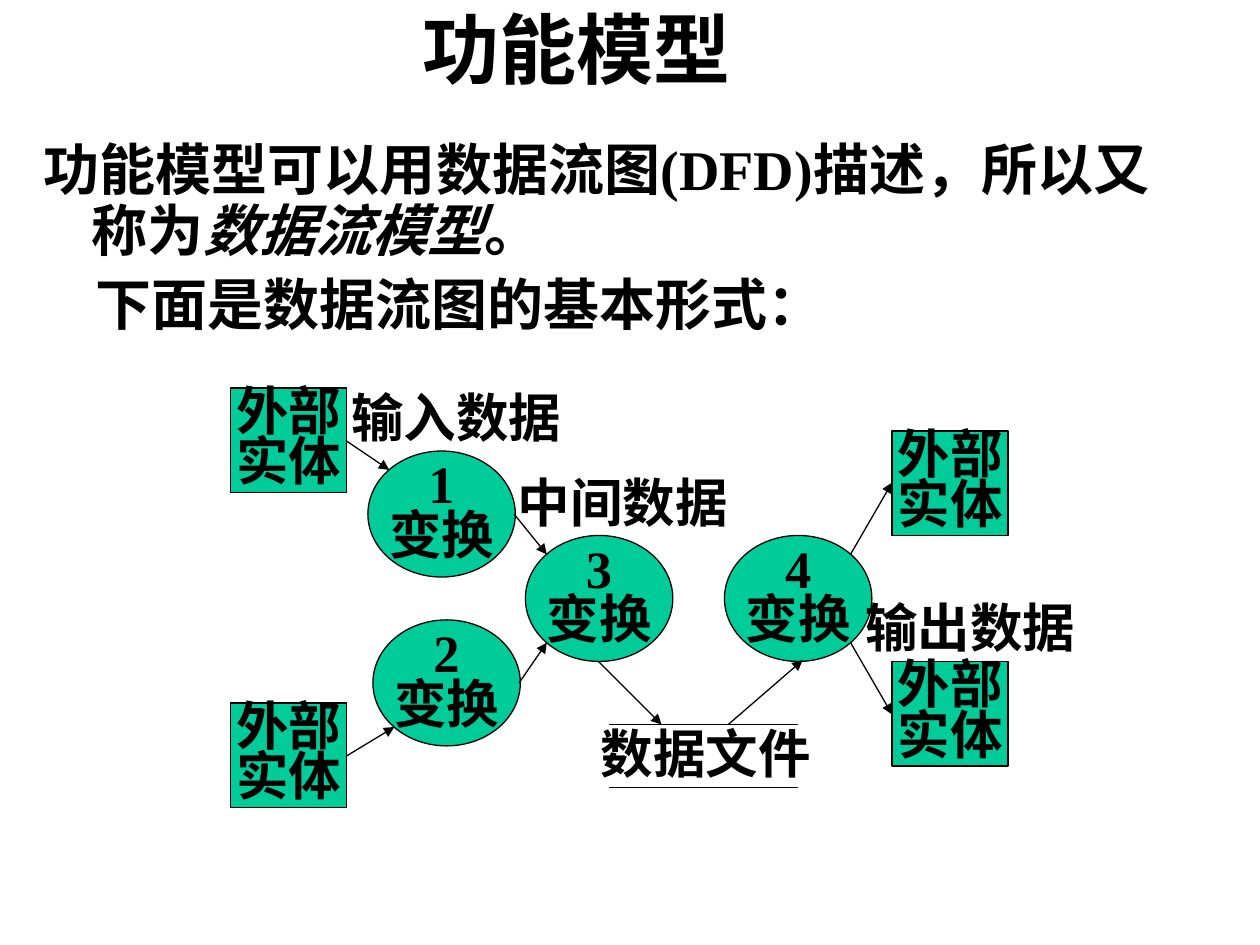
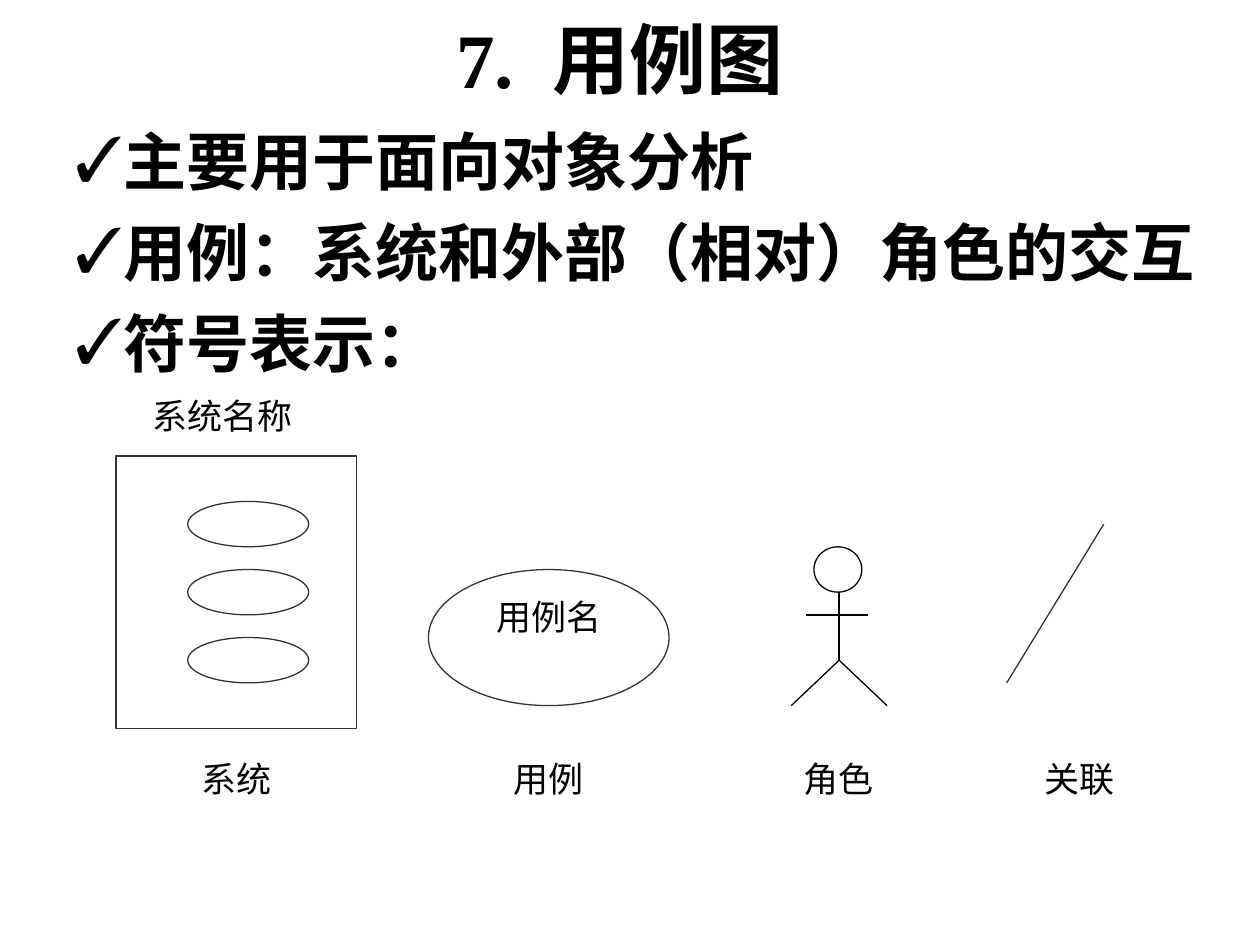
from dataclasses import dataclass

from lxml import etree
from pptx import Presentation
from pptx.dml.color import RGBColor
from pptx.enum.shapes import MSO_CONNECTOR, MSO_SHAPE
from pptx.enum.text import MSO_ANCHOR, PP_ALIGN
from pptx.oxml.ns import qn
from pptx.util import Pt

RECT, OVAL = MSO_SHAPE.RECTANGLE, MSO_SHAPE.OVAL
STRAIGHT = MSO_CONNECTOR.STRAIGHT
LEFT, CENTER = PP_ALIGN.LEFT, PP_ALIGN.CENTER
TOP, MIDDLE = MSO_ANCHOR.TOP, MSO_ANCHOR.MIDDLE
PX = 9144


@dataclass(frozen=True)
class Theme:
    ink: str = "000000"
    outline: str = "333333"
    paper: str = "FFFFFF"
    node: str = "00CC99"
    serif: str = "Times New Roman"
    sans: str = "Arial"
    title: int = 44
    points: int = 36
    body: int = 32
    diagram: int = 30
    symbol: int = 20
    stroke: float = 0.75


T = Theme()


def px(*values):
    return [v * PX for v in values]


def rgb(value):
    return RGBColor.from_string(value)


def write(tf, paragraphs, size, font=T.serif, bold=True, align=LEFT, anchor=TOP,
          wrap=True, spacing=None, before=0, margin=0, indent=0, bullet=None):
    tf.word_wrap = wrap
    tf.vertical_anchor = anchor
    for i, runs in enumerate(paragraphs):
        p = tf.add_paragraph() if i else tf.paragraphs[0]
        pPr = p._p.get_or_add_pPr()
        pPr.set("marL", str(margin * PX))
        pPr.set("indent", str(indent * PX))
        if bullet:
            clr = etree.SubElement(pPr, qn("a:buClr"))
            etree.SubElement(clr, qn("a:srgbClr"), val=T.ink)
            etree.SubElement(pPr, qn("a:buFont"), typeface=font)
            etree.SubElement(pPr, qn("a:buChar"), char=bullet)
        p.alignment = align
        if spacing:
            p.line_spacing = spacing
        if i and before:
            p.space_before = Pt(before)
        for run in [runs] if isinstance(runs, str) else runs:
            text, extra = (run, {}) if isinstance(run, str) else run
            r = p.add_run()
            r.text = text
            r.font.name = font
            r.font.size = Pt(size)
            r.font.bold = bold
            r.font.italic = extra.get("italic", False)
            r.font.color.rgb = rgb(T.ink)
            if "tracking" in extra:
                r._r.get_or_add_rPr().set("spc", str(extra["tracking"] * 100))


def add_text(s, box, paragraphs, size, **fmt):
    sp = s.shapes.add_textbox(*px(*box))
    write(sp.text_frame, paragraphs, size, **fmt)
    return sp


def add_title(s, box, runs):
    add_text(s, box, [runs], T.title, align=CENTER, anchor=MIDDLE)


def add_shape(s, kind, box, fill=T.paper, line=None):
    sp = s.shapes.add_shape(kind, *px(*box))
    sp.shadow.inherit = False
    sp.fill.solid()
    sp.fill.fore_color.rgb = rgb(fill)
    if line:
        sp.line.color.rgb = rgb(line)
        sp.line.width = Pt(T.stroke)
    else:
        sp.line.fill.background()
    return sp


def add_line(s, ends, color=T.ink, arrow=False):
    c = s.shapes.add_connector(STRAIGHT, *px(*ends))
    c.line.color.rgb = rgb(color)
    c.line.width = Pt(T.stroke)
    if arrow:
        etree.SubElement(c.line._get_or_add_ln(), qn("a:tailEnd"), type="triangle")
    etree.SubElement(c._element.spPr, qn("a:effectLst"))


def add_node(s, kind, box, lines):
    sp = add_shape(s, kind, box, T.node, T.ink)
    write(sp.text_frame, lines, T.diagram, align=CENTER, anchor=MIDDLE,
          wrap=False, spacing=0.8)


def add_flow_label(s, x, y, text):
    add_text(s, (x, y, 190, 60), [text], T.diagram, font=T.sans)


def add_caption(s, x, y, text, align=CENTER):
    sp = add_shape(s, RECT, (x, y, 153, 54))
    write(sp.text_frame, [text], T.symbol, bold=False, align=align)


def add_system(s):
    add_caption(s, 111, 308, "系统名称", LEFT)
    add_shape(s, RECT, (92, 362, 191, 216), line=T.outline)
    for i in range(3):
        add_shape(s, OVAL, (149, 398 + 54 * i, 96, 36), line=T.outline)


def add_use_case(s):
    sp = add_shape(s, OVAL, (340, 452, 191, 108), line=T.outline)
    write(sp.text_frame, ["用例名"], T.symbol, bold=False, align=CENTER)


def add_actor(s):
    mid, hip = 666, 524
    add_shape(s, OVAL, (646, 434, 38, 36), line=T.ink)
    add_line(s, (640, 488, 689, 488))
    add_line(s, (mid, 470, mid, hip))
    for reach in (-38, 38):
        add_line(s, (mid, hip, mid + reach, 560))


def build_function_model(s):
    add_title(s, (158, 0, 600, 75), ["功能模型"])
    body = (25, 108, 914, 173)
    sp = add_text(s, body, [
        ["功能模型可以用数据流图(DFD)描述，所以又称为",
         ("数据流模型", {"italic": True}), "。"],
        "下面是数据流图的基本形式：",
    ], T.body, spacing=0.9, before=8, margin=38, indent=-38)
    pPr = sp.text_frame.paragraphs[1]._p.get_or_add_pPr()
    pPr.set("marL", str(41 * PX))
    pPr.set("indent", "0")

    for number, x, y in (("3", 417, 425), ("4", 575, 425),
                         ("1", 292, 358), ("2", 296, 492)):
        add_node(s, OVAL, (x, y, 117, 100), [number, "变换"])
    for x, y in ((183, 308), (183, 558), (708, 342), (708, 525)):
        add_node(s, RECT, (x, y, 92, 83), ["外部", "实体"])
    for y in (575, 625):
        add_line(s, (483, y, 633, y))
    for ends in ((275, 600, 313, 577), (275, 350, 309, 373),
                 (408, 408, 434, 440), (412, 542, 434, 510),
                 (475, 525, 525, 575), (578, 575, 637, 524),
                 (675, 440, 708, 383), (675, 510, 708, 567)):
        add_line(s, ends, arrow=True)
    for x, y, text in ((467, 567, "数据文件"), (269, 301, "输入数据"),
                       (401, 368, "中间数据"), (677, 467, "输出数据")):
        add_flow_label(s, x, y, text)


def build_use_case_diagram(s):
    add_title(s, (67, 0, 850, 92), ["7.", (" ", {"tracking": 11}), "用例图"])
    add_text(s, (50, 92, 917, 225), [
        "主要用于面向对象分析",
        "用例：系统和外部（相对）角色的交互",
        "符号表示：",
    ], T.points, before=9, margin=38, indent=-38, bullet="✓")
    add_system(s)
    add_use_case(s)
    add_actor(s)
    add_line(s, (799, 542, 876, 416), T.outline)
    for x, text in ((111, "系统"), (359, "用例"), (589, "角色"), (780, "关联")):
        add_caption(s, x, 596, text)


def main():
    prs = Presentation()
    prs.slide_width, prs.slide_height = px(1000, 750)
    for build in (build_function_model, build_use_case_diagram):
        build(prs.slides.add_slide(prs.slide_layouts[6]))
    prs.save("out.pptx")


if __name__ == "__main__":
    main()
